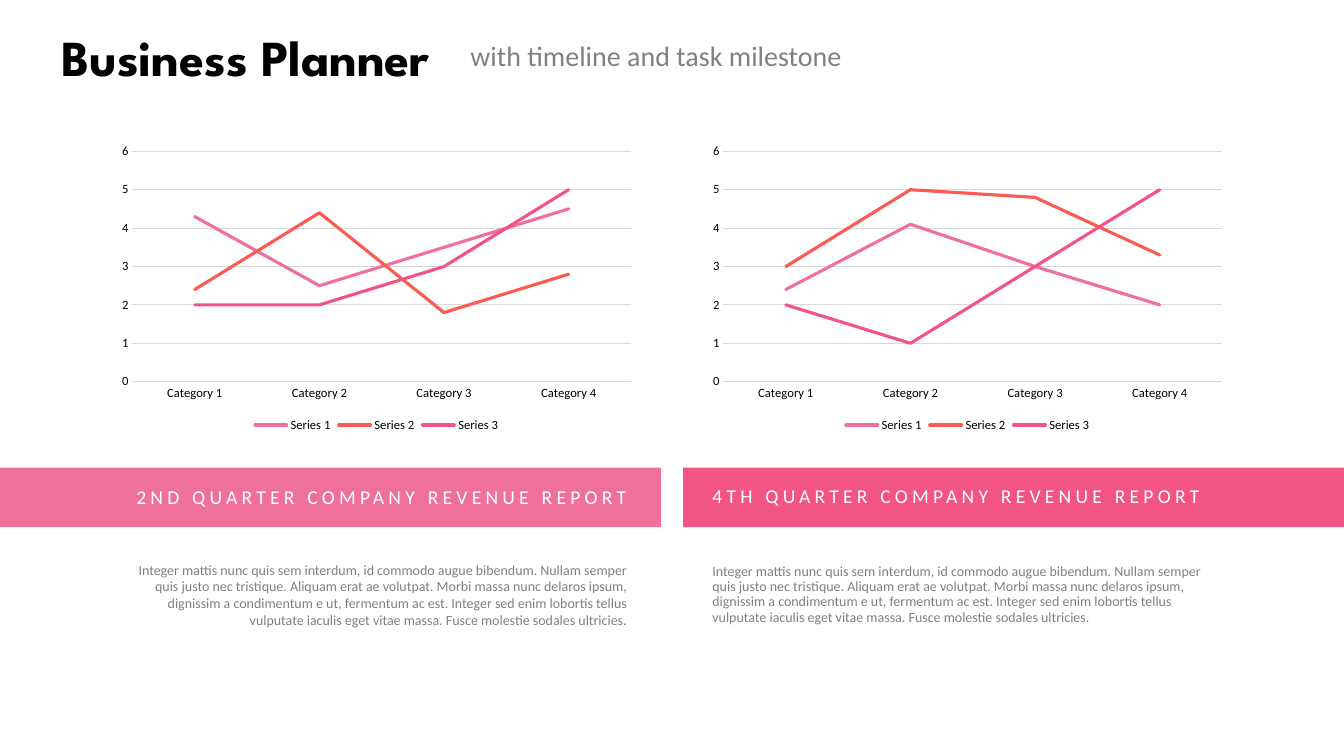
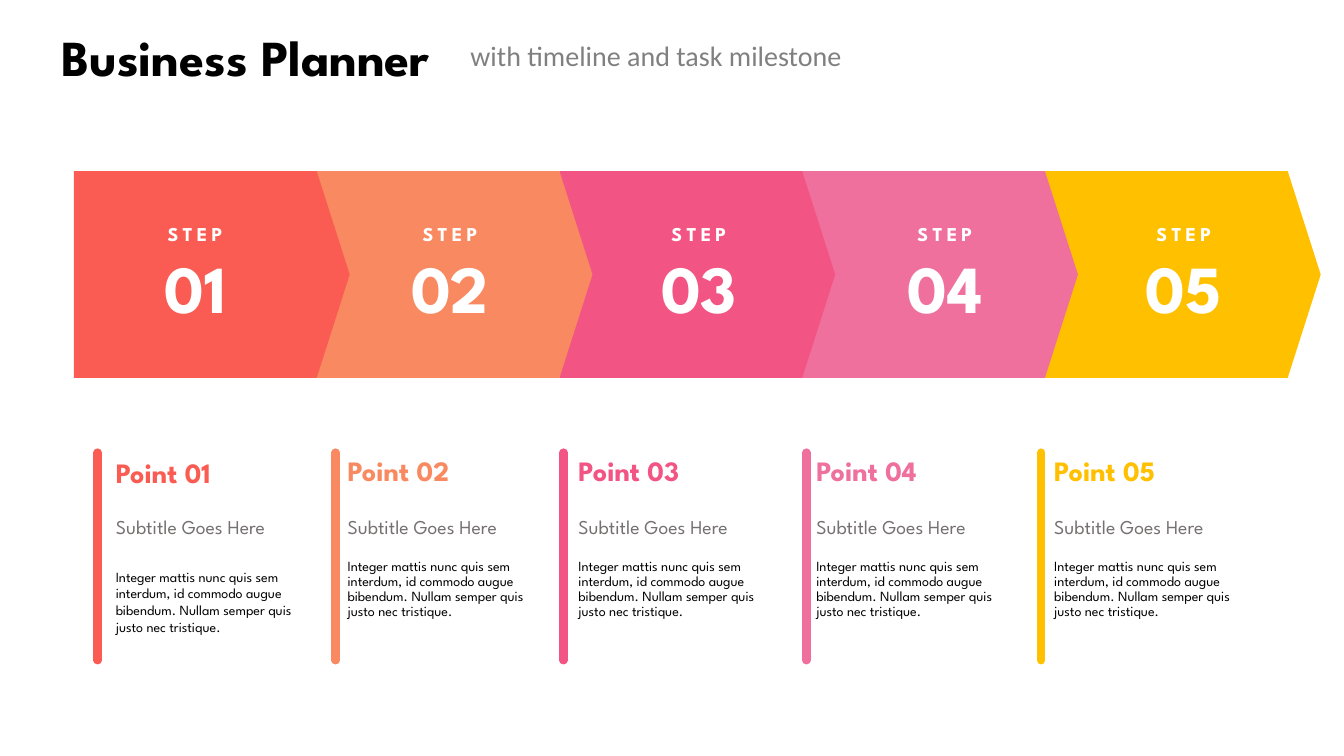
from lxml.etree import SubElement
from pptx import Presentation
from pptx.chart.data import CategoryChartData
from pptx.dml.color import RGBColor
from pptx.enum.chart import XL_CHART_TYPE, XL_LEGEND_POSITION, XL_TICK_MARK
from pptx.enum.shapes import MSO_CONNECTOR, MSO_SHAPE
from pptx.enum.text import MSO_ANCHOR, MSO_AUTO_SIZE, PP_ALIGN
from pptx.oxml.ns import qn
from pptx.util import Pt

RED = RGBColor(0xFA, 0x5B, 0x52)
ORANGE = RGBColor(0xF8, 0x89, 0x60)
ROSE = RGBColor(0xF2, 0x54, 0x84)
PINK = RGBColor(0xEF, 0x70, 0x9D)
GOLD = RGBColor(0xFF, 0xC0, 0x00)
BLACK = RGBColor(0, 0, 0)
WHITE = RGBColor(0xFF, 0xFF, 0xFF)
GREY = RGBColor(0x80, 0x80, 0x80)
DARK_GREY = RGBColor(0x76, 0x71, 0x71)
GRID = RGBColor(0xD9, 0xD9, 0xD9)

BODY_FONT = "Calibri"
HEAD_FONT = "League Spartan"

QUARTER_TEXT = (
    "Integer mattis nunc quis sem interdum, id commodo augue bibendum. "
    "Nullam semper quis justo nec tristique. Aliquam erat ae volutpat. "
    "Morbi massa nunc delaros ipsum, dignissim a condimentum e ut, "
    "fermentum ac est. Integer sed enim lobortis tellus vulputate iaculis "
    "eget vitae massa. Fusce molestie sodales ultricies."
)
POINT_TEXT = (
    "Integer mattis nunc quis sem interdum, id commodo augue bibendum. "
    "Nullam semper quis justo nec tristique."
)

CATEGORIES = [f"Category {n}" for n in range(1, 5)]
SERIES_COLORS = [PINK, RED, ROSE]
SPRING_VALUES = [(4.3, 2.5, 3.5, 4.5), (2.4, 4.4, 1.8, 2.8), (2, 2, 3, 5)]
WINTER_VALUES = [(2.4, 4.1, 3, 2), (3, 5, 4.8, 3.3), (2, 1, 3, 5)]

STEP_COLORS = [RED, ORANGE, ROSE, PINK, GOLD]
STEP_LEFT, STEP_TOP = 52.8, 122.2
STEP_PITCH, STEP_HEIGHT, STEP_TIP = 173.4, 147.8, 23.6
NUMBER_OFFSETS = [24.3, 33, 37.4, 39.7, 37]
BAR_LEFTS = [69.8, 239.8, 402.5, 576, 743.8]
POINT_LEFTS = [75.6, 241.2, 406.1, 576, 745.9]
POINT_TOP = 321.8


def write(sp, text, size=10, font=BODY_FONT, color=BLACK, bold=False,
          align=PP_ALIGN.LEFT, anchor=MSO_ANCHOR.MIDDLE, spacing=1.0, tracking=0):
    tf = sp.text_frame
    tf.word_wrap = True
    tf.auto_size = MSO_AUTO_SIZE.NONE
    tf.vertical_anchor = anchor
    p = tf.paragraphs[0]
    p.alignment = align
    p.line_spacing = spacing
    r = p.add_run()
    r.text = text
    r.font.size = Pt(size)
    r.font.name = font
    r.font.bold = bold
    r.font.color.rgb = color
    if tracking:
        r.font._element.set("spc", str(tracking * 100))


def add_text(shapes, box, text, **fmt):
    write(shapes.add_textbox(*map(Pt, box)), text, **fmt)


def add_block(shapes, kind, box, color):
    sp = shapes.add_shape(kind, *map(Pt, box))
    sp.shadow.inherit = False
    sp.fill.solid()
    sp.fill.fore_color.rgb = color
    sp.line.fill.background()
    return sp


def add_planner_slide(prs):
    slide = prs.slides.add_slide(prs.slide_layouts[5])
    title = slide.shapes.title
    title.left, title.top, title.width, title.height = map(Pt, (23, 18.7, 305.3, 43.2))
    write(title, "Business Planner", size=36, font=HEAD_FONT, bold=True,
          align=PP_ALIGN.CENTER)
    add_text(slide.shapes, (329, 23.8, 338.4, 31.7), "with timeline and task milestone",
             size=20, color=GREY)
    return slide


def add_line_chart(slide, box, values):
    data = CategoryChartData()
    data.categories = CATEGORIES
    for n, row in enumerate(values, 1):
        data.add_series(f"Series {n}", row)
    chart = slide.shapes.add_chart(XL_CHART_TYPE.LINE, *map(Pt, box), data).chart
    chart.has_title = False
    chart.font.size = Pt(9)
    chart.font.name = BODY_FONT
    chart.font.color.rgb = BLACK
    chart.has_legend = True
    chart.legend.position = XL_LEGEND_POSITION.BOTTOM
    chart.legend.include_in_layout = False
    chart.plots[0].vary_by_categories = False

    cat_axis, val_axis = chart.category_axis, chart.value_axis
    val_axis.minimum_scale, val_axis.maximum_scale, val_axis.major_unit = 0, 6, 1
    val_axis.has_major_gridlines = True
    for line in (cat_axis.format.line, val_axis.major_gridlines.format.line):
        line.color.rgb = GRID
        line.width = Pt(0.75)
    val_axis.format.line.fill.background()
    for axis in (cat_axis, val_axis):
        axis.major_tick_mark = XL_TICK_MARK.NONE

    for series, color in zip(chart.plots[0].series, SERIES_COLORS):
        series.smooth = False
        line = series.format.line
        line.color.rgb = color
        line.width = Pt(2.25)
        line._get_or_add_ln().set("cap", "rnd")


def add_quarter(slide, left, band_left, color, heading, values, **fmt):
    add_block(slide.shapes, MSO_SHAPE.RECTANGLE, (band_left, 334, 472, 42.5), color)
    add_line_chart(slide, (left, 98.6, 378.7, 213.1), values)
    add_text(slide.shapes, (left, 339.1, 375.1, 31.7), heading,
             size=14, color=WHITE, tracking=3, **fmt)
    add_text(slide.shapes, (left, 391, 375.1, 67.7), QUARTER_TEXT, color=GREY, **fmt)


def add_step(slide, left, number, color, offset):
    shapes = slide.shapes.add_group_shape().shapes
    arrow = add_block(shapes, MSO_SHAPE.PENTAGON,
                      (left, STEP_TOP, STEP_PITCH + STEP_TIP, STEP_HEIGHT), color)
    arrow.adjustments[0] = STEP_TIP / STEP_HEIGHT
    fmt = dict(font=HEAD_FONT, color=WHITE, bold=True, align=PP_ALIGN.CENTER,
               anchor=MSO_ANCHOR.TOP)
    x = left + offset
    add_text(shapes, (x, STEP_TOP + 49.9, 124.6, 65.5), f"{number:02}", size=48, **fmt)
    add_text(shapes, (x - 16.6, STEP_TOP + 32.6, 157.7, 24.5), "STEP",
             size=14, tracking=3, **fmt)


def add_point(slide, left, bar_left, number, color, spacing, anchor):
    shapes = slide.shapes
    add_text(shapes, (left, POINT_TOP, 152.6, 31.7), f"Point {number:02}",
             size=20, font=HEAD_FONT, color=color, bold=True, spacing=spacing)
    add_text(shapes, (left, POINT_TOP + 74.2, 152.6, 67.7), POINT_TEXT,
             font=HEAD_FONT, spacing=spacing, anchor=anchor)
    add_text(shapes, (left, POINT_TOP + 44.7, 152.6, 24.5), "Subtitle Goes Here",
             size=14, font=HEAD_FONT, color=DARK_GREY, spacing=0.9,
             anchor=MSO_ANCHOR.TOP)
    bar = shapes.add_connector(MSO_CONNECTOR.STRAIGHT, Pt(bar_left), Pt(POINT_TOP + 1.5),
                               Pt(bar_left), Pt(POINT_TOP + 149.8))
    bar.line.color.rgb = color
    bar.line.width = Pt(6)
    bar.line._get_or_add_ln().set("cap", "rnd")
    SubElement(bar._element.spPr, qn("a:effectLst"))


def build_revenue_slide(prs):
    slide = add_planner_slide(prs)
    add_quarter(slide, 79.6, 0, PINK, "2ND QUARTER COMPANY REVENUE REPORT",
                SPRING_VALUES, align=PP_ALIGN.RIGHT)
    add_quarter(slide, 501.8, 488, ROSE, "4TH QUARTER COMPANY REVENUE REPORT",
                WINTER_VALUES, spacing=0.9)


def build_steps_slide(prs):
    slide = add_planner_slide(prs)
    for i in reversed(range(len(STEP_COLORS))):
        add_step(slide, STEP_LEFT + i * STEP_PITCH, i + 1, STEP_COLORS[i],
                 NUMBER_OFFSETS[i])
    for i, (left, bar_left, color) in enumerate(zip(POINT_LEFTS, BAR_LEFTS, STEP_COLORS)):
        spacing, anchor = (0.9, MSO_ANCHOR.TOP) if i else (1.0, MSO_ANCHOR.MIDDLE)
        add_point(slide, left, bar_left, i + 1, color, spacing, anchor)


def main():
    prs = Presentation()
    prs.slide_width, prs.slide_height = Pt(960), Pt(540)
    build_revenue_slide(prs)
    build_steps_slide(prs)
    prs.save("out.pptx")


if __name__ == "__main__":
    main()
